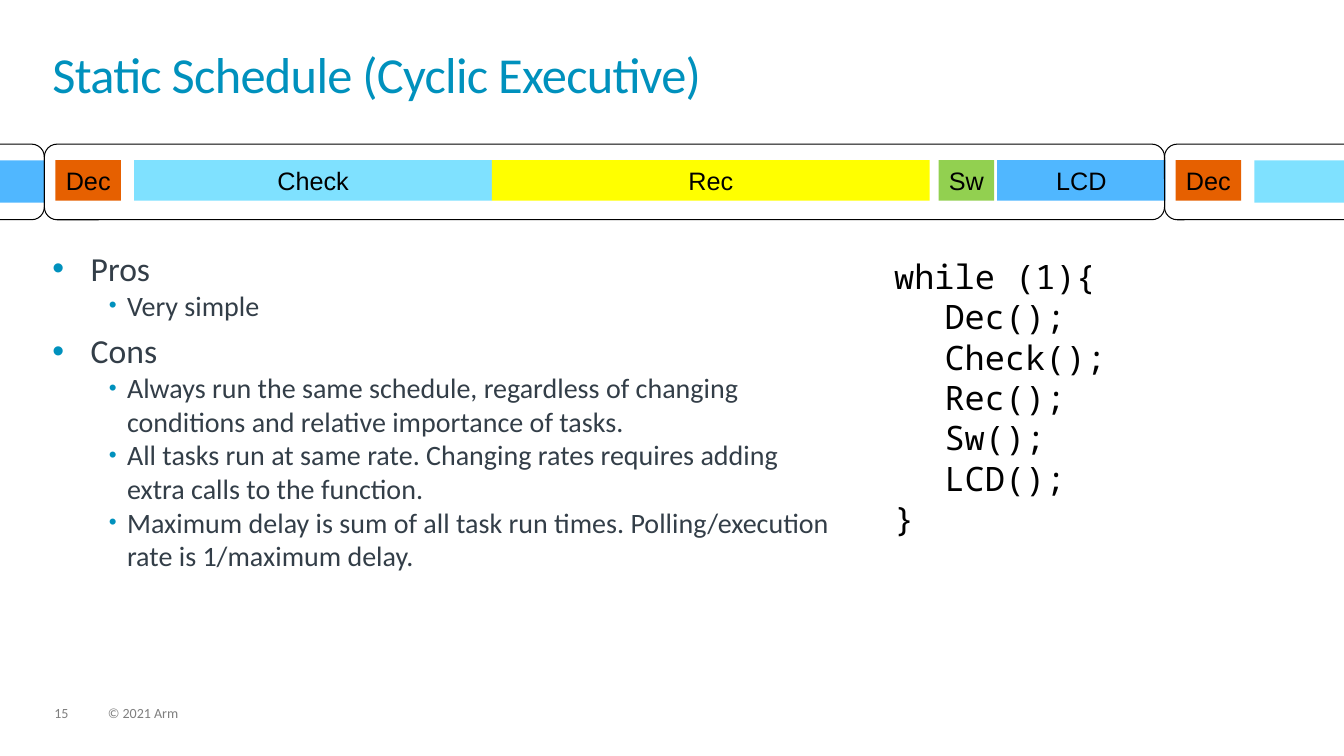
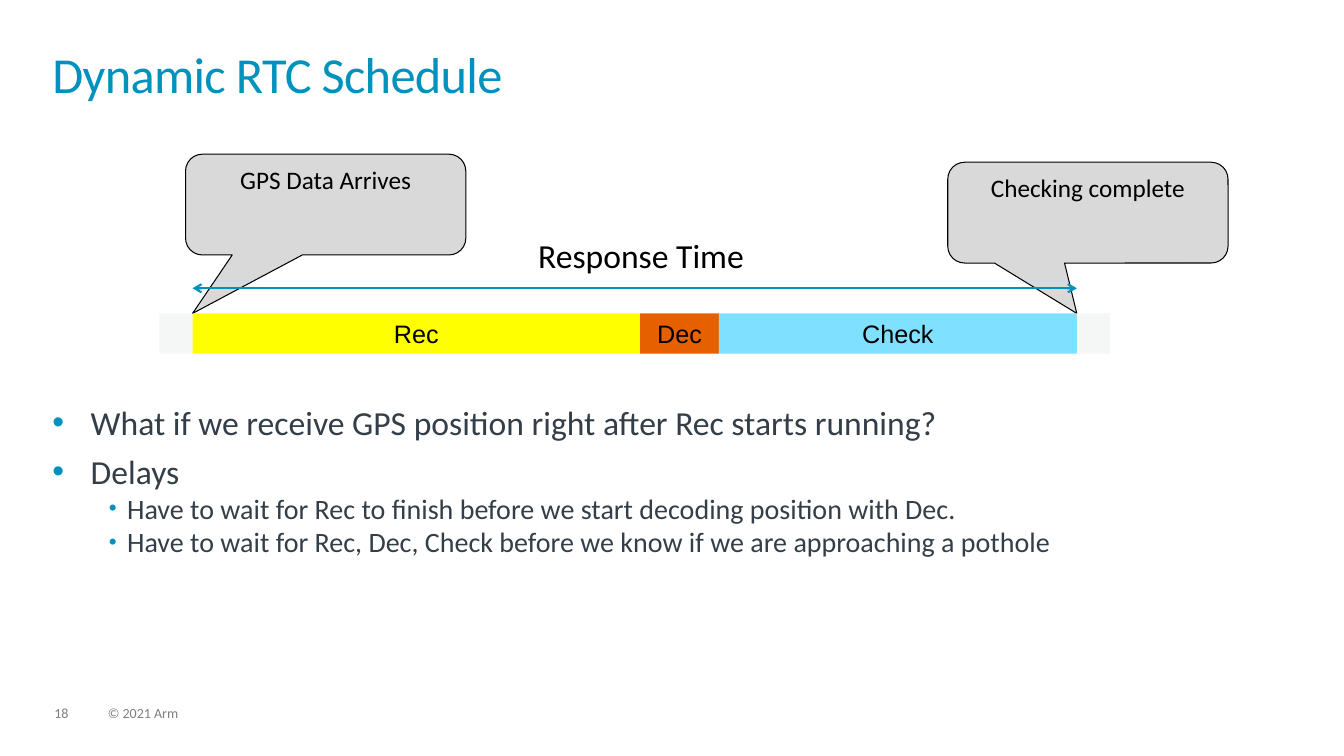
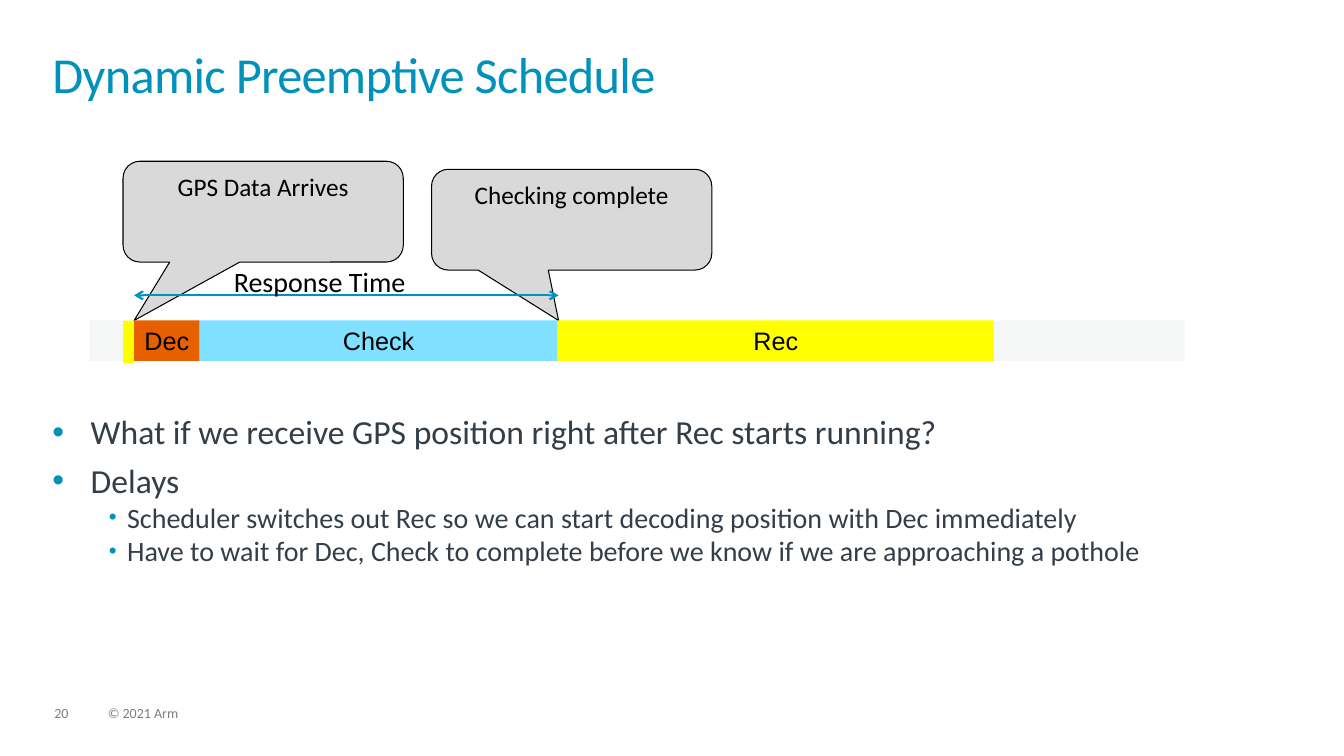
"""Build three slides that compare task schedules and their response times."""
from dataclasses import dataclass
from typing import NamedTuple

from lxml import etree
from pptx import Presentation
from pptx.dml.color import RGBColor
from pptx.enum.shapes import MSO_CONNECTOR, MSO_SHAPE
from pptx.enum.text import MSO_ANCHOR, PP_ALIGN
from pptx.oxml.ns import qn
from pptx.util import Inches, Pt

RECT = MSO_SHAPE.RECTANGLE
ROUNDED = MSO_SHAPE.ROUNDED_RECTANGLE
CALLOUT = MSO_SHAPE.ROUNDED_RECTANGULAR_CALLOUT
STRAIGHT = MSO_CONNECTOR.STRAIGHT
CENTER = PP_ALIGN.CENTER
TOP = MSO_ANCHOR.TOP
MIDDLE = MSO_ANCHOR.MIDDLE

COLORS = {
    "accent": "0091BD",
    "body": "333E48",
    "footer": "7F7F7F",
    "black": "000000",
    "callout": "D9D9D9",
    "Dec": "E66000",
    "Check": "7FE1FF",
    "Rec": "FFFF00",
    "Sw": "92D050",
    "LCD": "50B7FF",
    "idle": "F5F7F7",
}

BAR_HEIGHT = 0.4
CORNER = 0.167
CALLOUT_WIDTH, CALLOUT_HEIGHT = 2.78, 1.0
MARGIN = 0.52
NO_INSETS = dict.fromkeys(("margin_left", "margin_top", "margin_right", "margin_bottom"), 0)


class Style(NamedTuple):
    """Font and paragraph formats of one kind of text."""
    color: str
    font: dict
    paragraph: dict = {}


STYLES = {
    "title": Style("accent", {"name": "Calibri", "size": Pt(36)}, {"line_spacing": 0.85}),
    "footer": Style("footer", {"name": "Calibri", "size": Pt(10)}, {"line_spacing": 0.9}),
    "point": Style("body", {"name": "Calibri", "size": Pt(24)}, {"space_before": Pt(6)}),
    "detail": Style("body", {"name": "Calibri", "size": Pt(20)}, {"level": 1, "space_before": Pt(0)}),
    "code": Style("black", {"name": "Noto Sans Mono", "size": Pt(24)}),
    "task": Style("black", {"name": "Arial", "size": Pt(18)}, {"alignment": CENTER}),
    "callout": Style("black", {"name": "Calibri", "size": Pt(18)}, {"alignment": CENTER}),
    "span": Style("black", {"name": "Calibri", "size": Pt(24)}),
    "small span": Style("black", {"name": "Calibri", "size": Pt(20)}),
}


class Bullet(NamedTuple):
    """Left margin, hanging indent and relative size of a bullet level."""
    margin: float
    hang: float
    percent: int


BULLETS = {"point": Bullet(0.38, 0.38, 100), "detail": Bullet(0.74, 0.18, 80)}


class Line(NamedTuple):
    """One paragraph and the name of its style."""
    text: str
    style: str


class Segment(NamedTuple):
    """A stretch of processor time, after an optional gap."""
    task: str
    width: float
    gap: float = 0
    named: bool = True
    height: float = BAR_HEIGHT


@dataclass
class Response:
    """A timeline with the response time marked above it."""
    bar_top: float
    bar_left: float
    segments: list[Segment]
    start: float
    end: float
    callout_lefts: tuple[float, float]
    label_left: float
    label_top: float
    label_width: float
    label_style: str


def color(name: str) -> RGBColor:
    """Look up a named colour."""
    return RGBColor.from_string(COLORS[name])


def apply(target, formats: dict) -> None:
    """Set every format value on the target."""
    for attribute, value in formats.items():
        setattr(target, attribute, value)


def add_bullet(paragraph, bullet: Bullet) -> None:
    """Give a paragraph a hanging bullet in the accent colour."""
    properties = paragraph._p.get_or_add_pPr()
    properties.set("marL", str(Inches(bullet.margin)))
    properties.set("indent", str(-Inches(bullet.hang)))
    tint = etree.SubElement(properties, qn("a:buClr"))
    etree.SubElement(tint, qn("a:srgbClr"), val=COLORS["accent"])
    etree.SubElement(properties, qn("a:buSzPct"), val=str(bullet.percent * 1000))
    etree.SubElement(properties, qn("a:buFont"), typeface="Arial")
    etree.SubElement(properties, qn("a:buChar"), char="•")


def write(frame, lines: list[Line]) -> None:
    """Fill a text frame with styled paragraphs."""
    for index, line in enumerate(lines):
        paragraph = frame.paragraphs[0] if index == 0 else frame.add_paragraph()
        style = STYLES[line.style]
        apply(paragraph, style.paragraph)
        if index == 0:
            paragraph.space_before = Pt(0)
        if line.style in BULLETS:
            add_bullet(paragraph, BULLETS[line.style])
        run = paragraph.add_run()
        run.text = line.text
        apply(run.font, style.font)
        run.font.color.rgb = color(style.color)
        if line.style == "title":
            run.font._element.set("spc", "-50")


def add_text(slide, left: float, top: float, width: float, height: float,
             lines: list[Line], formats: dict) -> None:
    """Place a text box."""
    box = slide.shapes.add_textbox(Inches(left), Inches(top), Inches(width), Inches(height))
    apply(box.text_frame, {"word_wrap": True, "vertical_anchor": TOP, **formats})
    write(box.text_frame, lines)


def add_block(slide, kind, left: float, top: float, width: float, height: float,
              fill: str = "", outline: str = ""):
    """Place a preset shape without shadow."""
    block = slide.shapes.add_shape(kind, Inches(left), Inches(top), Inches(width), Inches(height))
    block.shadow.inherit = False
    if fill:
        block.fill.solid()
        block.fill.fore_color.rgb = color(fill)
    else:
        block.fill.background()
    if outline:
        block.line.color.rgb = color(outline)
        block.line.width = Pt(0.75)
    else:
        block.line.fill.background()
    return block


def add_timeline(slide, left: float, top: float, segments: list[Segment]) -> None:
    """Lay task segments one after another."""
    for segment in segments:
        left += segment.gap
        bar = add_block(slide, RECT, left, top, segment.width, segment.height, segment.task)
        if segment.named:
            apply(bar.text_frame, {"word_wrap": False, "vertical_anchor": MIDDLE})
            write(bar.text_frame, [Line(segment.task, "task")])
        left += segment.width


def add_cycles(slide, left: float, top: float, widths: list[float]) -> None:
    """Outline adjoining cycles of the schedule."""
    for width in widths:
        cycle = add_block(slide, ROUNDED, left, top, width, 0.75, outline="black")
        cycle.adjustments[0] = CORNER
        left += width


def add_callout(slide, text: str, left: float, top: float, tip_x: float, tip_y: float) -> None:
    """Place a speech callout that points at the tip."""
    callout = add_block(slide, CALLOUT, left, top, CALLOUT_WIDTH, CALLOUT_HEIGHT, "callout", "black")
    callout.adjustments[0] = (tip_x - left) / CALLOUT_WIDTH - 0.5
    callout.adjustments[1] = (tip_y - top) / CALLOUT_HEIGHT - 0.5
    callout.adjustments[2] = CORNER
    apply(callout.text_frame, {"word_wrap": True, "vertical_anchor": TOP})
    write(callout.text_frame, [Line(text, "callout")])


def add_span(slide, start: float, end: float, y: float) -> None:
    """Draw a double-headed horizontal arrow."""
    span = slide.shapes.add_connector(STRAIGHT, Inches(start), Inches(y), Inches(end), Inches(y))
    span.line.color.rgb = color("accent")
    span.line.width = Pt(1.5)
    for end_tag in ("a:headEnd", "a:tailEnd"):
        etree.SubElement(span.line._get_or_add_ln(), qn(end_tag), type="arrow")
    etree.SubElement(span._element.spPr, qn("a:effectLst"))


def add_response(slide, response: Response) -> None:
    """Draw a timeline with its callouts and response time."""
    first_left, last_left = response.callout_lefts
    top = response.bar_top
    add_callout(slide, "GPS Data Arrives", first_left, top - 1.58, response.start, top)
    add_callout(slide, "Checking complete", last_left, top - 1.5, response.end, top)
    add_span(slide, response.start, response.end, top - 0.25)
    add_text(slide, response.label_left, response.label_top, response.label_width, 0.5,
             [Line("Response Time", response.label_style)], {"word_wrap": False})
    add_timeline(slide, response.bar_left, top, response.segments)


def add_slide(deck, number: int, title: str, body: list[Line], body_top: float,
              body_width: float = 12.28):
    """Start a slide with its title, footer and bulleted body."""
    slide = deck.slides.add_slide(deck.slide_layouts[6])
    add_text(slide, 0.54, 7.01, 0.34, 0.15, [Line(str(number), "footer")], NO_INSETS)
    add_text(slide, 1.07, 7.01, 5.07, 0.15, [Line("© 2021 Arm", "footer")], NO_INSETS)
    add_text(slide, MARGIN, 0.52, 12.28, 0.72, [Line(title, "title")], NO_INSETS)
    add_text(slide, MARGIN, body_top, body_width, 6.69 - body_top, body, NO_INSETS)
    return slide


def delay_points(*details: str) -> list[Line]:
    """Put the details below the question on delays."""
    return [
        Line("What if we receive GPS position right after Rec starts running?", "point"),
        Line("Delays", "point"),
        *(Line(detail, "detail") for detail in details),
    ]


STATIC_POINTS = [
    Line("Pros", "point"),
    Line("Very simple", "detail"),
    Line("Cons", "point"),
    Line("Always run the same schedule, regardless of changing conditions and relative "
         "importance of tasks.", "detail"),
    Line("All tasks run at same rate. Changing rates requires adding extra calls to the "
         "function.", "detail"),
    Line("Maximum delay is sum of all task run times. Polling/execution rate is 1/maximum "
         "delay.", "detail"),
]
STATIC_SEGMENTS = [
    Segment("LCD", 0.44, named=False, height=0.42),
    Segment("Dec", 0.65, gap=0.11),
    Segment("Check", 3.55, gap=0.13),
    Segment("Rec", 4.34),
    Segment("Sw", 0.55, gap=0.09),
    Segment("LCD", 1.67, gap=0.03),
    Segment("Dec", 0.65, gap=0.1),
    Segment("Check", 0.89, gap=0.13, named=False, height=0.42),
]
LOOP_CODE = ["while (1){", "\tDec();", "\tCheck();", "\tRec();", "\tSw();", "\tLCD();", "}"]

RTC_POINTS = delay_points(
    "Have to wait for Rec to finish before we start decoding position with Dec.",
    "Have to wait for Rec, Dec, Check before we know if we are approaching a pothole",
)
RTC_RESPONSE = Response(
    bar_top=3.11, bar_left=1.58,
    segments=[
        Segment("idle", 0.33, named=False),
        Segment("Rec", 4.44),
        Segment("Dec", 0.78),
        Segment("Check", 3.55),
        Segment("idle", 0.33, named=False),
    ],
    start=1.91, end=10.68, callout_lefts=(1.84, 9.4),
    label_left=5.24, label_top=2.28, label_width=2.26, label_style="span",
)

PREEMPTIVE_POINTS = delay_points(
    "Scheduler switches out Rec so we can start decoding position with Dec immediately",
    "Have to wait for Dec, Check to complete before we know if we are approaching a pothole",
)
PREEMPTIVE_RESPONSE = Response(
    bar_top=3.18, bar_left=0.89,
    segments=[
        Segment("idle", 0.33, named=False),
        Segment("Rec", 0.11, named=False, height=0.42),
        Segment("Dec", 0.65),
        Segment("Check", 3.55),
        Segment("Rec", 4.33),
        Segment("idle", 1.89, named=False),
    ],
    start=1.33, end=5.54, callout_lefts=(1.22, 4.28),
    label_left=2.22, label_top=2.57, label_width=1.92, label_style="small span",
)


def main() -> None:
    """Build and save the deck."""
    deck = Presentation()
    deck.slide_width, deck.slide_height = Inches(13.33), Inches(7.5)

    static = add_slide(deck, 15, "Static Schedule (Cyclic Executive)", STATIC_POINTS, 2.46, 7.78)
    add_timeline(static, 0, 1.59, STATIC_SEGMENTS)
    add_cycles(static, -0.44, 1.43, [0.88, 11.11, 2.11])
    add_text(static, 8.77, 2.49, 4, 4.25, [Line(code, "code") for code in LOOP_CODE], {})

    rtc = add_slide(deck, 18, "Dynamic RTC Schedule", RTC_POINTS, 3.99)
    add_response(rtc, RTC_RESPONSE)

    preemptive = add_slide(deck, 20, "Dynamic Preemptive Schedule", PREEMPTIVE_POINTS, 4.08)
    add_response(preemptive, PREEMPTIVE_RESPONSE)

    deck.save("out.pptx")


if __name__ == "__main__":
    main()
